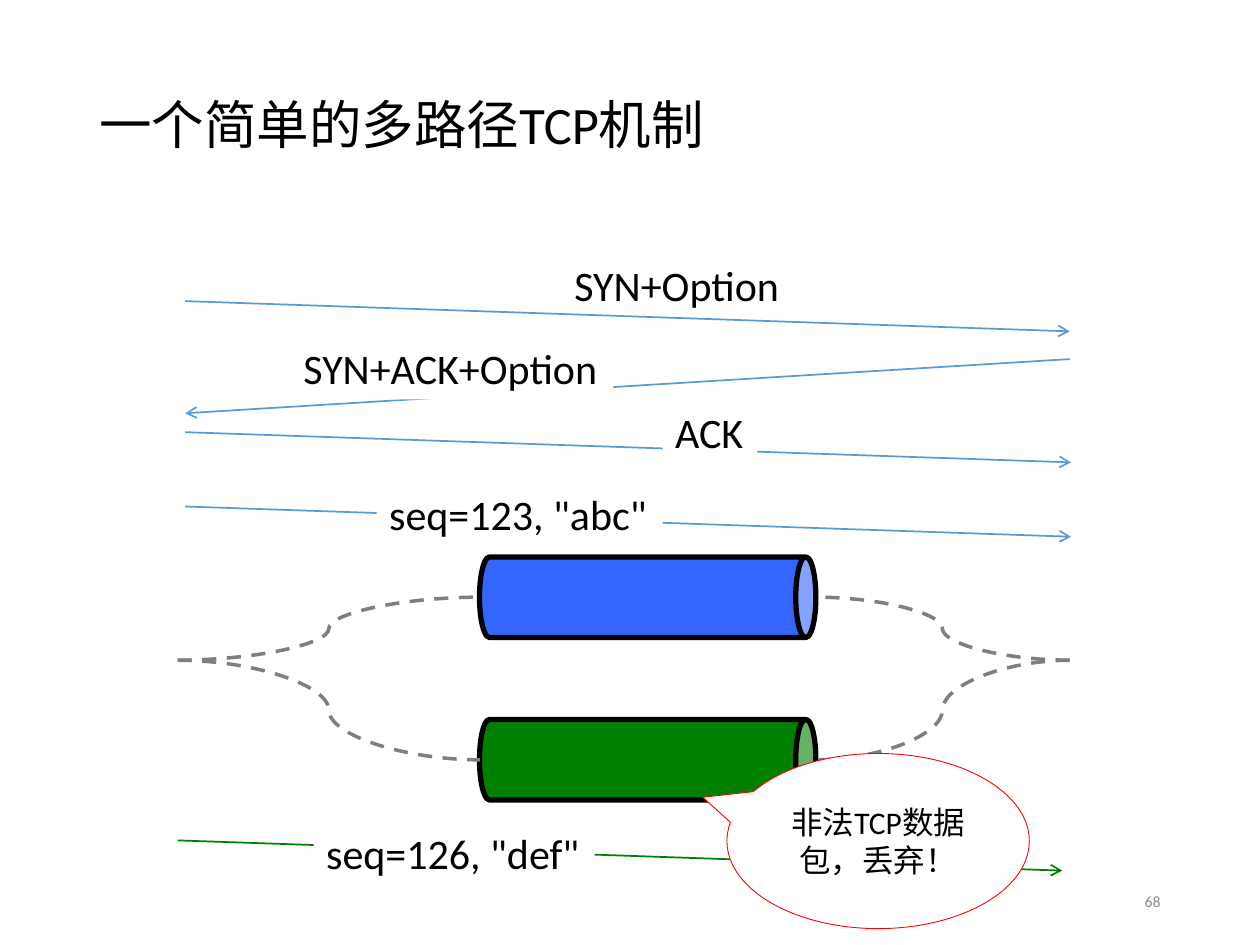
"""Build the slide on a simple multipath TCP mechanism."""
import pptx
import pptx.dml.color
import pptx.enum.dml
import pptx.enum.shapes
import pptx.enum.text
import pptx.util
from lxml import etree

ALIGN = pptx.enum.text.PP_ALIGN
ANCHOR = pptx.enum.text.MSO_ANCHOR
SHAPE = pptx.enum.shapes.MSO_SHAPE
CONNECTOR = pptx.enum.shapes.MSO_CONNECTOR
DRAWING = "{http://schemas.openxmlformats.org/drawingml/2006/main}"


def paint(color_format, color):
    color_format.rgb = pptx.dml.color.RGBColor.from_string(color)


def write(shape, text, size=24, color="000000", align=ALIGN.LEFT,
          anchor=ANCHOR.TOP, wrap=True, spacing=None):
    frame = shape.text_frame
    frame.word_wrap = wrap
    frame.vertical_anchor = anchor
    paragraph = frame.paragraphs[0]
    paragraph.alignment = align
    paragraph.line_spacing = spacing
    run = paragraph.add_run()
    run.text = text
    run.font.name = "Calibri"
    run.font.size = pptx.util.Pt(size)
    paint(run.font.color, color)


deck = pptx.Presentation()
deck.slide_width = pptx.util.Inches(10)
deck.slide_height = pptx.util.Inches(7.5)
slide = deck.slides.add_slide(deck.slide_layouts[6])
shapes = slide.shapes
col = deck.slide_width / 100
row = deck.slide_height / 75

title = shapes.add_textbox(int(6.9 * col), int(4 * row), int(86.2 * col), int(12.3 * row))
write(title, "一个简单的多路径TCP机制", size=30, anchor=ANCHOR.MIDDLE, spacing=0.9)

pipe_length, pipe_width, pipe_center = 26.7, 6.4, 51.4
fork_row = 52.4
for pipe_row, pipe_color in ((60.3, "008000"), (47.4, "3366FF")):
    pipe = shapes.add_shape(
        SHAPE.CAN, int((pipe_center - pipe_width / 2) * col),
        int((pipe_row - pipe_length / 2) * row), int(pipe_width * col), int(pipe_length * row))
    pipe.rotation = 90
    pipe.adjustments[0] = 0.25
    pipe.shadow.inherit = False
    pipe.fill.solid()
    paint(pipe.fill.fore_color, pipe_color)
    paint(pipe.line.color, "000000")
    pipe.line.width = pptx.util.Pt(3)

    for host_col, pipe_end in ((14.1, 38.1), (84.9, 64.7)):
        route = shapes.add_connector(
            CONNECTOR.CURVE, int(host_col * col), int(fork_row * row),
            int(pipe_end * col), int(pipe_row * row))
        etree.SubElement(route._element.spPr, DRAWING + "effectLst")
        paint(route.line.color, "7F7F7F")
        route.line.width = pptx.util.Pt(2)
        route.line.dash_style = pptx.enum.dml.MSO_LINE.DASH

messages = (
    ("SYN+ACK+Option", (84.9, 28.5, 14.7, 32.8), (23.1, 26.7, 25.6), "5B9BD5", True),
    ("ACK", (14.7, 34.3, 85, 36.7), (52.6, 31.8, 7.5), "5B9BD5", True),
    ('seq=123, "abc"', (14.7, 40.2, 85, 42.6), (29.9, 38.3, 22.7), "5B9BD5", True),
    ('seq=126, "def"', (14.1, 66.7, 84.3, 69.1), (24.9, 65.2, 22.3), "008000", True),
    ("SYN+Option", (14.7, 23.9, 84.9, 26.3), (44.6, 20.1, 18.5), "5B9BD5", False),
)
for content, (start_col, start_row, end_col, end_row), (left, top, width), color, covers in messages:
    packet = shapes.add_connector(
        CONNECTOR.STRAIGHT, int(start_col * col), int(start_row * row),
        int(end_col * col), int(end_row * row))
    paint(packet.line.color, color)
    packet.line.width = pptx.util.Pt(1)
    etree.SubElement(packet.line._get_or_add_ln(), DRAWING + "tailEnd", type="arrow")
    etree.SubElement(packet._element.spPr, DRAWING + "effectLst")

    label = shapes.add_textbox(int(left * col), int(top * row), int(width * col), int(5 * row))
    if covers:
        label.fill.solid()
        paint(label.fill.fore_color, "FFFFFF")
    write(label, content, wrap=False)

rejection = shapes.add_shape(
    SHAPE.OVAL_CALLOUT, int(57.7 * col), int(59.8 * row), int(24 * col), int(13.9 * row))
rejection.adjustments[0] = -0.58
rejection.adjustments[1] = -0.25
rejection.shadow.inherit = False
rejection.fill.solid()
paint(rejection.fill.fore_color, "FFFFFF")
paint(rejection.line.color, "FF0000")
rejection.line.width = pptx.util.Pt(0.5)
write(rejection, "非法TCP数据包，丢弃！", size=18, align=ALIGN.CENTER, anchor=ANCHOR.MIDDLE)

page = shapes.add_textbox(int(70.6 * col), int(69.5 * row), int(22.5 * col), int(4 * row))
write(page, "68", size=9, color="8C8C8C", align=ALIGN.RIGHT, anchor=ANCHOR.MIDDLE)

deck.save("out.pptx")
